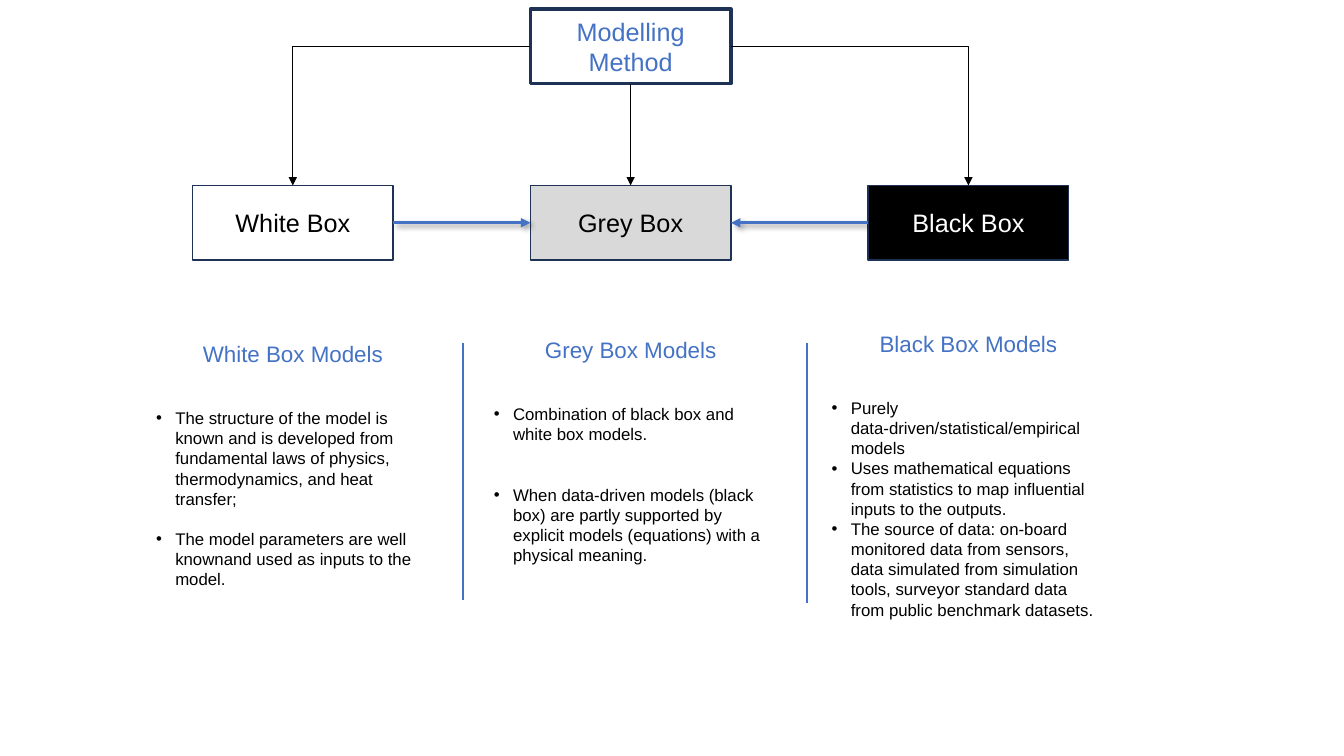
from lxml import etree
from pptx import Presentation
from pptx.dml.color import RGBColor as RGB
from pptx.enum.shapes import MSO_CONNECTOR as Conn, MSO_SHAPE as Shape
from pptx.enum.text import MSO_ANCHOR as Anchor, PP_ALIGN as Align
from pptx.oxml.ns import qn
from pptx.util import Inches, Pt

COLORS = {"white": "FFFFFF", "grey": "D9D9D9", "black": "000000",
          "blue": "4472C4", "navy": "1E3256"}
FONT = "Arial"
PITCH, BOX_W, BOX_H = 3.35, 1.99, 0.74
TEXT_W = 2.91

KINDS = [("White Box", "white", "black"), ("Grey Box", "grey", "black"),
         ("Black Box", "black", "white")]

COLUMNS = [
    ("White Box Models", 3.33, 2.89, 14.4, [
        "The structure of the model is known and is developed from fundamental "
        "laws of physics, thermodynamics, and heat transfer;",
        "The model parameters are well knownand used as inputs to the model."]),
    ("Grey Box Models", 3.29, 2.69, 28.8, [
        "Combination of black box and white box models.",
        "When data-driven models (black box) are partly supported by explicit "
        "models (equations) with a physical meaning."]),
    ("Black Box Models", 3.23, 3.1, 0, [
        "Purely data-driven/statistical/empirical models",
        "Uses mathematical equations from statistics to map influential inputs "
        "to the outputs.",
        "The source of data: on-board monitored data from sensors, data "
        "simulated from simulation tools, surveyor standard data from public "
        "benchmark datasets."]),
]


def color(name):
    """Return the named colour."""
    return RGB.from_string(COLORS[name])


def style(para, text, size, ink):
    """Fill a paragraph with text in one font."""
    para.text = text
    para.font.name, para.font.size = FONT, Pt(size)
    para.font.color.rgb = color(ink)


def add_box(slide, left, top, text, fill, ink, width):
    """Draw one labelled box of the tree."""
    box = slide.shapes.add_shape(Shape.RECTANGLE, Inches(left), Inches(top),
                                 Inches(BOX_W), Inches(BOX_H))
    box.shadow.inherit = False
    box.fill.solid()
    box.fill.fore_color.rgb = color(fill)
    box.line.color.rgb = color("navy")
    box.line.width = Pt(width)
    frame = box.text_frame
    frame.word_wrap, frame.vertical_anchor = True, Anchor.MIDDLE
    style(frame.paragraphs[0], text, 18, ink)
    frame.paragraphs[0].alignment = Align.CENTER
    return box


def add_line(slide, ends, ink, width, kind=Conn.STRAIGHT):
    """Draw a plain line between two points."""
    line = slide.shapes.add_connector(kind, *[Inches(n) for n in ends])
    line.line.color.rgb = color(ink)
    line.line.width = Pt(width)
    etree.SubElement(line._element.spPr, qn("a:effectLst"))
    return line


def add_arrow(slide, start, side, end, goal, ink, width, bent=False):
    """Join two boxes with an arrow."""
    kind = Conn.ELBOW if bent else Conn.STRAIGHT
    arrow = add_line(slide, (0, 0, 1, 1), ink, width, kind)
    arrow.begin_connect(start, side)
    arrow.end_connect(end, goal)
    if bent:
        geom = arrow._element.spPr.find(qn("a:prstGeom"))
        geom.set("prst", "bentConnector2")
    etree.SubElement(arrow.line._get_or_add_ln(), qn("a:tailEnd"), type="triangle")
    return arrow


def add_shadow(line):
    """Give a line a soft shadow."""
    effects = line._element.spPr.find(qn("a:effectLst"))
    shade = etree.SubElement(effects, qn("a:outerShdw"), blurRad=str(Pt(4)),
                             dist=str(Pt(3)), dir="2700000", algn="tl",
                             rotWithShape="0")
    tint = etree.SubElement(shade, qn("a:srgbClr"), val=COLORS["black"])
    etree.SubElement(tint, qn("a:alpha"), val="40000")


def add_tree(slide, left, top):
    """Draw the method box, the three kinds and their arrows."""
    root = add_box(slide, left + PITCH, top, "Modelling Method", "white", "blue", 2.25)
    kids = [add_box(slide, left + i * PITCH, top + 1.75, *kind, 1)
            for i, kind in enumerate(KINDS)]
    for kid, side in zip(kids, (1, 2, 3)):
        add_arrow(slide, root, side, kid, 0, "black", 0.5, bent=side != 2)
    white, grey, black = kids
    for start, side, goal in ((white, 3, 1), (black, 1, 3)):
        add_shadow(add_arrow(slide, start, side, grey, goal, "blue", 2.25))


def add_column(slide, left, top, height, title, gap, points):
    """Write one titled list of bullets."""
    box = slide.shapes.add_textbox(Inches(left), Inches(top),
                                   Inches(TEXT_W), Inches(height))
    frame = box.text_frame
    frame.word_wrap = True
    head = frame.paragraphs[0]
    style(head, title, 16, "blue")
    head.alignment = Align.CENTER
    head.space_after = Pt(28.8 - gap)
    for point in points:
        para = frame.add_paragraph()
        style(para, point, 12, "black")
        para.space_before = Pt(gap)
        props = para._p.get_or_add_pPr()
        props.set("marL", str(Inches(0.19)))
        props.set("indent", str(-Inches(0.19)))
        etree.SubElement(props, qn("a:buFont"), typeface=FONT)
        etree.SubElement(props, qn("a:buChar"), char="•")
        props.append(props.find(qn("a:defRPr")))


def add_notes(slide, left):
    """Set out the three columns and the rules between them."""
    for i, (title, top, height, gap, points) in enumerate(COLUMNS):
        add_column(slide, left + i * PITCH, top, height, title, gap, points)
    for x, foot in ((4.59, 5.95), (8, 5.98)):
        add_line(slide, (x, 3.4, x, foot), "blue", 1.5)


def main():
    """Build and save the slide."""
    deck = Presentation()
    deck.slide_width, deck.slide_height = Inches(13.33), Inches(7.5)
    slide = deck.slides.add_slide(deck.slide_layouts[6])
    add_tree(slide, 1.91, 0.09)
    add_notes(slide, 1.45)
    deck.save("out.pptx")


if __name__ == "__main__":
    main()
